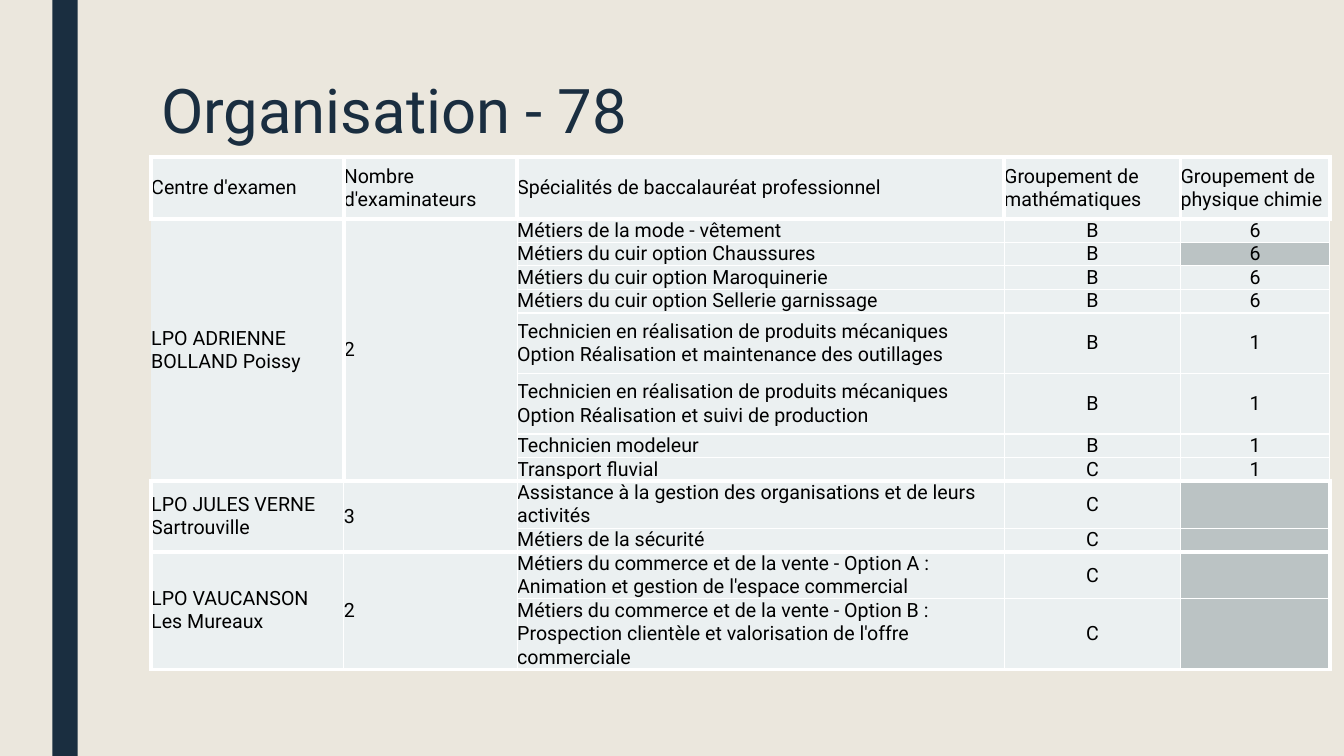
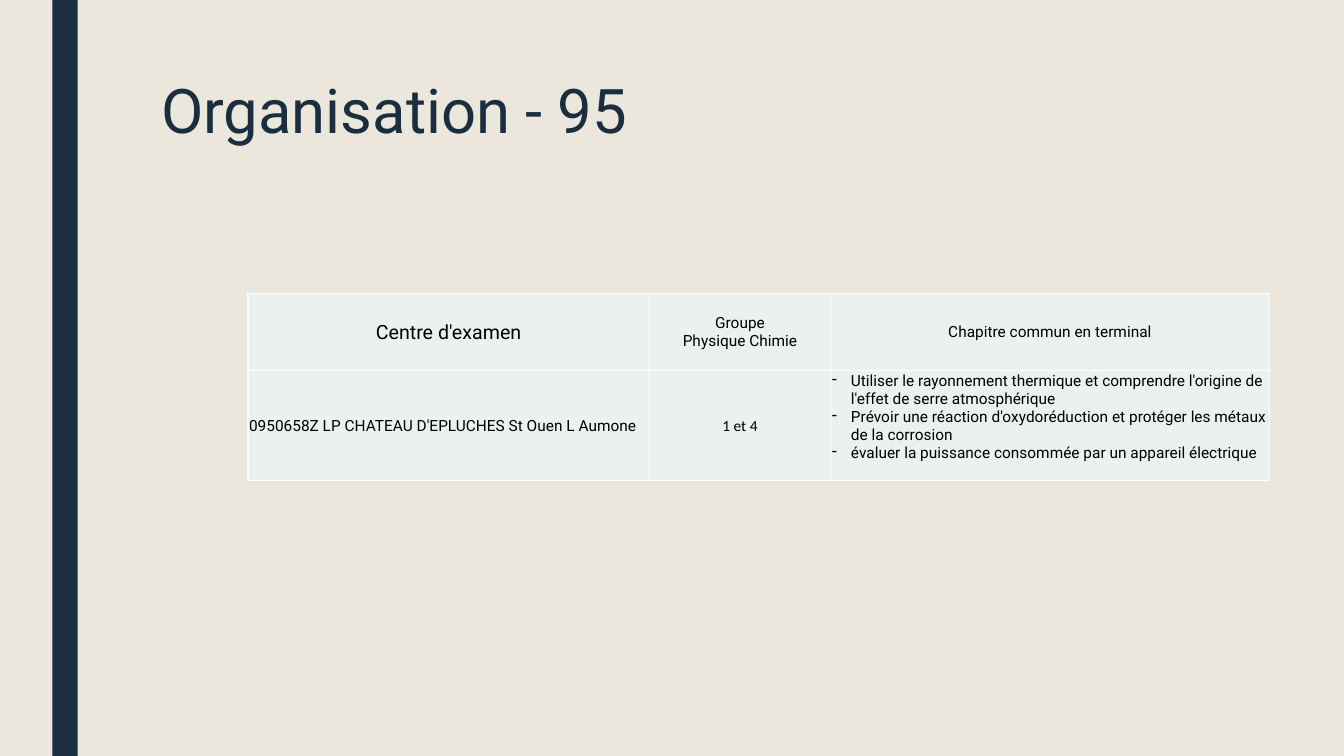
"""Build two slides on exam organisation by department."""
import pptx
import pptx.util
import pptx.dml.color
import pptx.enum.shapes
import pptx.enum.text
import pptx.oxml
import pptx.oxml.ns
from lxml import etree

Inches = pptx.util.Inches
Pt = pptx.util.Pt
RGB = pptx.dml.color.RGBColor.from_string
ALIGN = pptx.enum.text.PP_ALIGN
ANCHOR = pptx.enum.text.MSO_ANCHOR
qn = pptx.oxml.ns.qn

COLORS = {
    "background": "EBE7DD",
    "navy": "1A2E40",
    "cell": "EBF0F1",
    "grey": "BBC3C4",
    "border": "FFFFFF",
    "text": "000000",
}


def write(tf, text, size=14, color="text", font="Roboto", align=ALIGN.LEFT, spacing=None, bullet=None):
    for i, line in enumerate(text.split("\n")):
        p = tf.paragraphs[0] if i == 0 else tf.add_paragraph()
        p.alignment = align
        if spacing:
            p.line_spacing = spacing
        if bullet:
            pPr = p._p.get_or_add_pPr()
            pPr.set("marL", str(Inches(0.19)))
            pPr.set("indent", str(-Inches(0.19)))
            etree.SubElement(pPr, qn("a:buChar")).set("char", bullet)
        if line:
            r = p.add_run()
            r.text = line
            r.font.size = Pt(size)
            r.font.name = font
            r.font.color.rgb = RGB(COLORS[color])
        else:
            p._p.get_or_add_endParaRPr().set("sz", str(size * 100))


def format_cell(cell, fill="cell", widths=(1, 1, 1, 1), inset=0, anchor=ANCHOR.MIDDLE):
    cell.margin_left = cell.margin_right = cell.margin_top = Inches(inset)
    cell.margin_bottom = 0
    cell.vertical_anchor = anchor
    tcPr = cell._tc.get_or_add_tcPr()
    for side, width in zip("LRTB", widths):
        ln = etree.SubElement(tcPr, qn(f"a:ln{side}"), w=str(Pt(width)))
        if width:
            line_fill = etree.SubElement(ln, qn("a:solidFill"))
            etree.SubElement(line_fill, qn("a:srgbClr"), val=COLORS["border"])
        else:
            etree.SubElement(ln, qn("a:noFill"))
    cell.fill.solid()
    cell.fill.fore_color.rgb = RGB(COLORS[fill])


prs = pptx.Presentation()
prs.slide_width = Inches(13.33)
prs.slide_height = Inches(7.5)

table_specs = [
    ("Organisation - 78", 1.5, 1.56, [1.91, 1.72, 4.83, 1.75, 1.48],
     [0.61] + [0.23] * 4 + [0.6] * 2 + [0.23] * 2 + [0.46, 0.23, 0.46, 0.69]),
    ("Organisation - 95", 2.46, 2.91, [3.98, 1.8, 4.35], [0.77, 1.09]),
]
tables = []
for title, left, top, widths, heights in table_specs:
    s = prs.slides.add_slide(prs.slide_layouts[6])
    s.background.fill.solid()
    s.background.fill.fore_color.rgb = RGB(COLORS["background"])

    band = s.shapes.add_shape(pptx.enum.shapes.MSO_SHAPE.RECTANGLE, Inches(0.52), 0, Inches(0.25), prs.slide_height)
    band.shadow.inherit = False
    band.fill.solid()
    band.fill.fore_color.rgb = RGB(COLORS["navy"])
    band.line.fill.background()

    sp = s.shapes.add_textbox(Inches(1.5), Inches(0.75), Inches(10.5), Inches(1.62))
    sp.text_frame.word_wrap = True
    write(sp.text_frame, title, size=44, color="navy", spacing=0.89)

    table = s.shapes.add_table(len(heights), len(widths), Inches(left), Inches(top),
                               Inches(sum(widths)), Inches(sum(heights))).table
    table.first_row = False
    table.horz_banding = False
    for column, width in zip(table.columns, widths):
        column.width = Inches(width)
    for row, height in zip(table.rows, heights):
        row.height = Inches(height)
    tables.append(table)

centres_table, chapters_table = tables

headers = ["Centre d'examen", "Nombre d'examinateurs", "Spécialités de baccalauréat professionnel",
           "Groupement de mathématiques", "Groupement de physique chimie"]
centres = [
    ("LPO ADRIENNE BOLLAND Poissy", "2", [
        ("Métiers de la mode - vêtement", "B", "6"),
        ("Métiers du cuir option Chaussures", "B", "6"),
        ("Métiers du cuir option Maroquinerie", "B", "6"),
        ("Métiers du cuir option Sellerie garnissage", "B", "6"),
        ("Technicien en réalisation de produits mécaniques Option Réalisation et maintenance des outillages", "B", "1"),
        ("Technicien en réalisation de produits mécaniques Option Réalisation et suivi de production", "B", "1"),
        ("Technicien modeleur", "B", "1"),
        ("Transport fluvial", "C", "1"),
    ]),
    ("LPO JULES VERNE Sartrouville", "3", [
        ("Assistance à la gestion des organisations et de leurs activités", "C", ""),
        ("Métiers de la sécurité", "C", ""),
    ]),
    ("LPO VAUCANSON Les Mureaux", "2", [
        ("Métiers du commerce et de la vente - Option A : Animation et gestion de l'espace commercial", "C", ""),
        ("Métiers du commerce et de la vente - Option B : Prospection clientèle et valorisation de l'offre commerciale",
         "C", ""),
    ]),
]
grey_rows = {2, 9, 10, 11, 12}

for col, header in enumerate(headers):
    cell = centres_table.cell(0, col)
    format_cell(cell, widths=(3, 3, 3, 3))
    write(cell.text_frame, header)

first = 1
for centre, examiners, specialities in centres:
    last = first + len(specialities) - 1
    is_first_centre = first == 1
    left_edges = [0, 3, 1, 1, 1] if is_first_centre else [3, 1, 1, 1, 1]
    right_edges = [3, 1, 1, 1, 1] if is_first_centre else [1, 1, 1, 1, 3]
    for row, speciality in enumerate(specialities, first):
        labels = (centre, examiners) if row == first else ("", "")
        for col, text in enumerate(labels + speciality):
            cell = centres_table.cell(row, col)
            merged = col < 2
            top_edge = 3 if row == first or merged else 1
            bottom_edge = 3 if row == last or merged else 1
            format_cell(cell, fill="grey" if col == 4 and row in grey_rows else "cell",
                        widths=(left_edges[col], right_edges[col], top_edge, bottom_edge))
            write(cell.text_frame, text, align=ALIGN.CENTER if col > 2 else ALIGN.LEFT)
    for col in range(2):
        centres_table.cell(first, col).merge(centres_table.cell(last, col))
    first = last + 1

chapters = """Utiliser le rayonnement thermique et comprendre l'origine de l'effet de serre atmosphérique
Prévoir une réaction d'oxydoréduction et protéger les métaux de la corrosion
évaluer la puissance consommée par un appareil électrique"""
chapter_cells = [
    [("Centre d'examen", {"size": 14, "align": ALIGN.CENTER}),
     ("Groupe\nPhysique Chimie", {"align": ALIGN.CENTER}),
     ("Chapitre commun en terminal", {"align": ALIGN.CENTER})],
    [("0950658Z LP CHATEAU D'EPLUCHES St Ouen L Aumone", {}),
     ("1 et 4", {"font": "Calibri", "align": ALIGN.CENTER}),
     (chapters, {"bullet": "-"})],
]
for row, cells in enumerate(chapter_cells):
    for col, (text, text_format) in enumerate(cells):
        cell = chapters_table.cell(row, col)
        format_cell(cell, inset=0.01, anchor=ANCHOR.TOP if "bullet" in text_format else ANCHOR.MIDDLE)
        write(cell.text_frame, text, **{"size": 11, **text_format})

prs.save("out.pptx")
